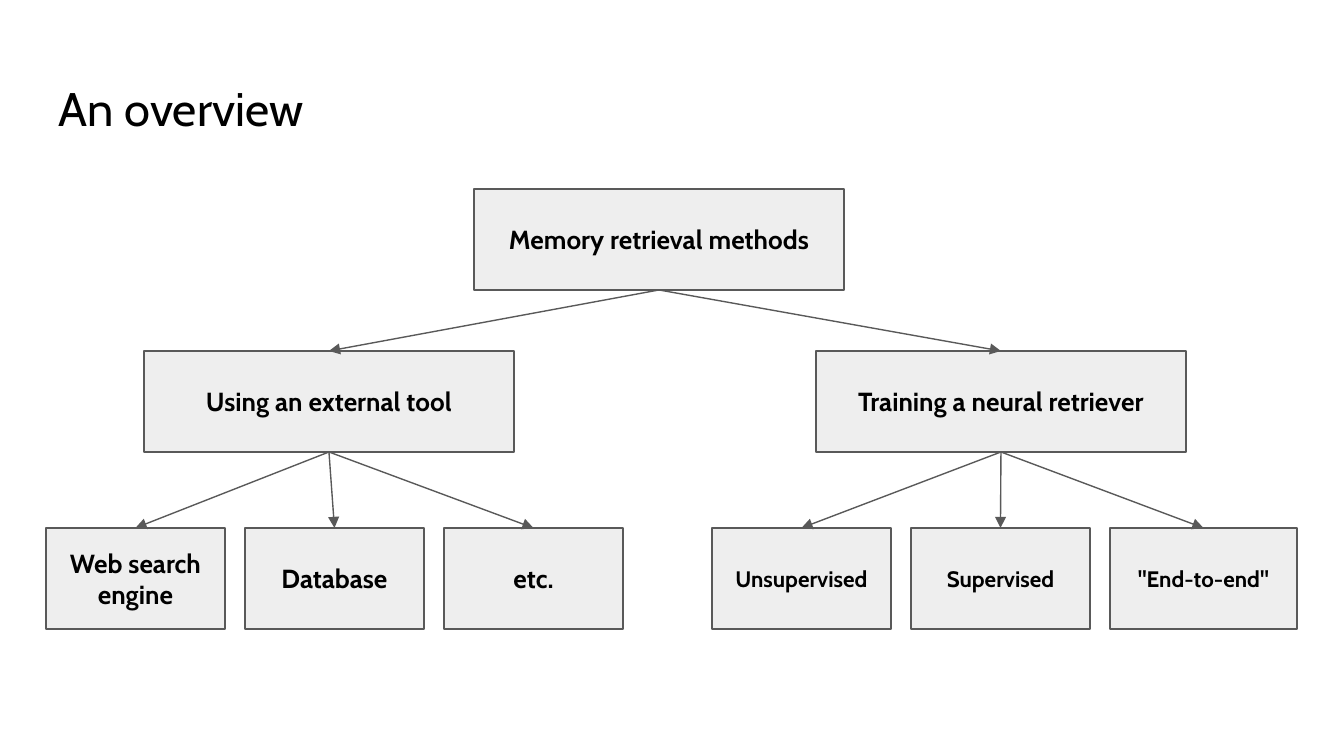
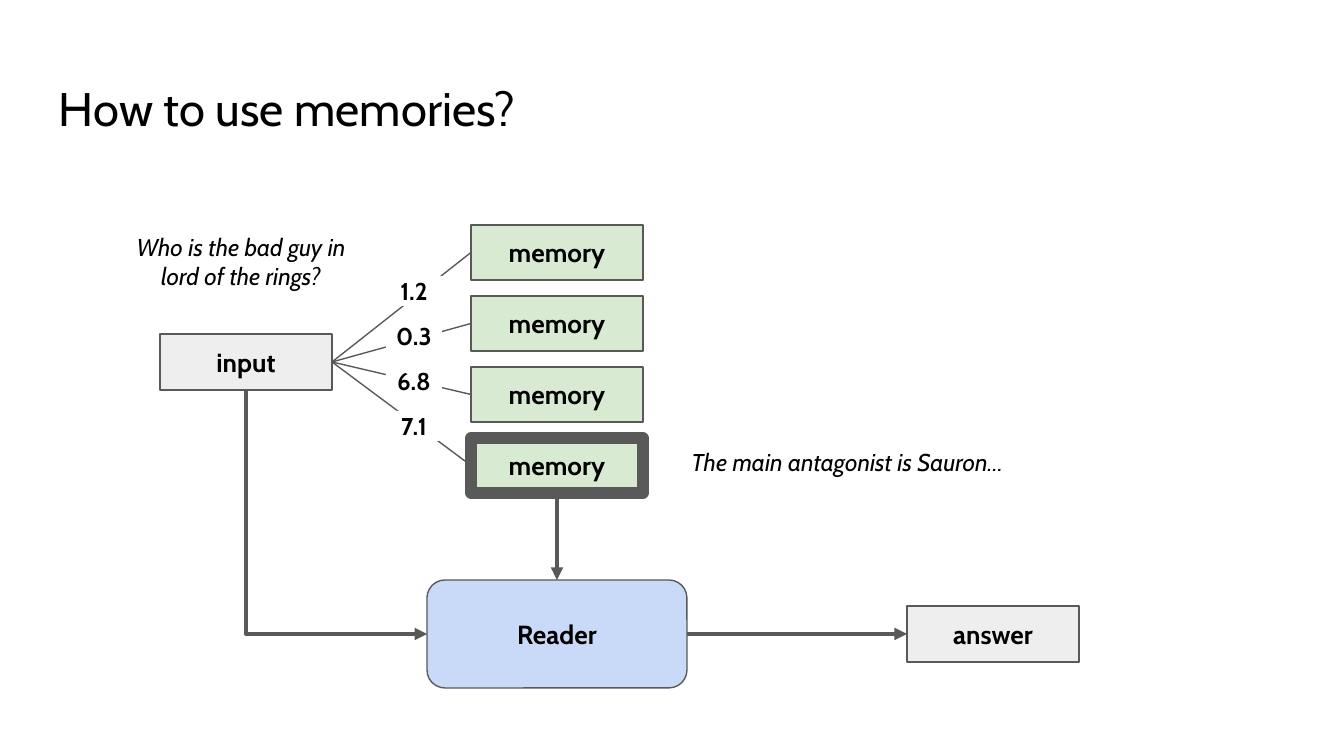
from lxml import etree
from pptx import Presentation
from pptx.dml.color import RGBColor
from pptx.enum.shapes import MSO_CONNECTOR as CONN, MSO_SHAPE as SHAPE
from pptx.enum.text import MSO_ANCHOR as ANCHOR, MSO_AUTO_SIZE as AUTO, PP_ALIGN as ALIGN
from pptx.oxml.ns import qn
from pptx.util import Emu, Pt

# Shared look
FONT = "Cabin"
BLACK, WHITE, GREY = "000000", "FFFFFF", "595959"
PALE, GREEN, BLUE = "EEEEEE", "D9EAD3", "C9DAF8"
THIN, THICK, FRAME = 0.75, 2.25, 6
INSET = 13
TOP, LEFT, BOTTOM, RIGHT = range(4)


def px(n):
    return Emu(round(n * 914400 / 134.4))


def rgb(value):
    return RGBColor.from_string(value)


def write(sp, text, size, bold=False, italic=False, align=ALIGN.CENTER,
          anchor=ANCHOR.MIDDLE, inset=INSET):
    tf = sp.text_frame
    tf.text = text
    tf.word_wrap = True
    tf.auto_size = AUTO.NONE
    tf.vertical_anchor = anchor
    tf.margin_left = tf.margin_right = tf.margin_top = tf.margin_bottom = px(inset)
    p = tf.paragraphs[0]
    p.alignment = align
    font = p.runs[0].font
    font.name, font.size = FONT, Pt(size)
    font.bold, font.italic = bold, italic
    font.color.rgb = rgb(BLACK)


def add_slide(prs, title):
    s = prs.slides.add_slide(prs.slide_layouts[5])
    sp = s.shapes.title
    sp.left, sp.top, sp.width, sp.height = px(46), px(66), px(1253), px(85)
    write(sp, title, 25.2, align=ALIGN.LEFT, anchor=ANCHOR.TOP)
    return s


def add_box(s, text, x, y, w, h, fill=PALE, line=THIN, size=14,
            kind=SHAPE.RECTANGLE, inset=INSET):
    sp = s.shapes.add_shape(kind, px(x), px(y), px(w), px(h))
    sp.shadow.inherit = False
    sp.fill.solid()
    sp.fill.fore_color.rgb = rgb(fill)
    if line:
        sp.line.color.rgb = rgb(GREY)
        sp.line.width = Pt(line)
    else:
        sp.line.fill.background()
    write(sp, text, size, bold=True, inset=inset)
    return sp


def add_note(s, text, x, y, w, h):
    sp = s.shapes.add_textbox(px(x), px(y), px(w), px(h))
    write(sp, text, 13, italic=True, anchor=ANCHOR.TOP)


def style_line(c, width, arrow):
    c.line.color.rgb = rgb(GREY)
    c.line.width = Pt(width)
    if arrow:
        etree.SubElement(c.line._get_or_add_ln(), qn("a:tailEnd"), type="triangle")
    etree.SubElement(c._element.spPr, qn("a:effectLst"))


def join(s, start, start_side, end, end_side, width=THIN, arrow=True):
    c = s.shapes.add_connector(CONN.STRAIGHT, 0, 0, 0, 0)
    c.begin_connect(start, start_side)
    c.end_connect(end, end_side)
    style_line(c, width, arrow)


def add_down_then_right(s, x1, y1, x2, y2, width):
    """One-bend arrow: a mirrored connector turned by 270 degrees about its centre."""
    cx, cy = (x1 + x2) / 2, (y1 + y2) / 2
    dx, dy = (x2 - x1) / 2, (y2 - y1) / 2
    c = s.shapes.add_connector(CONN.ELBOW, px(cx + dy), px(cy - dx),
                               px(cx - dy), px(cy + dx))
    c._element.spPr.find(qn("a:xfrm")).set("rot", str(270 * 60000))
    c._element.spPr.find(qn("a:prstGeom")).set("prst", "bentConnector2")
    style_line(c, width, True)


def add_branch(s, root, text, x, leaves, leaf_x, leaf_size, last_w):
    branch = add_box(s, text, x, 351, 370, 101)
    join(s, root, BOTTOM, branch, TOP)
    for i, label in enumerate(leaves):
        w = last_w if i == len(leaves) - 1 else 179
        leaf = add_box(s, label, leaf_x + 199 * i, 528, w, 101, size=leaf_size)
        join(s, branch, BOTTOM, leaf, TOP)


def overview(prs):
    s = add_slide(prs, "An overview")
    root = add_box(s, "Memory retrieval methods", 474, 189, 370, 101)
    add_branch(s, root, "Using an external tool", 144,
               ["Web search engine", "Database", "etc."], 46, 14, 179)
    add_branch(s, root, "Training a neural retriever", 816,
               ["Unsupervised", "Supervised", '"End-to-end"'], 712, 12, 187)


def using_memories(prs):
    s = add_slide(prs, "How to use memories?")
    query = add_box(s, "input", 160, 334, 172, 56)

    # Memories, with the chosen one framed
    scores = ["1.2", "0.3", "6.8", "7.1"]
    chosen = scores.index(max(scores, key=float))
    memories = [add_box(s, "memory", 471, 225 + 71 * i, 172, 55, GREEN,
                        FRAME if i == chosen else THIN)
                for i in range(len(scores))]

    # Scores sit on top of the lines
    for memory in memories:
        join(s, query, RIGHT, memory, LEFT, arrow=False)
    for i, score in enumerate(scores):
        add_box(s, score, 386, 276 + 45 * i, 56, 30, WHITE, None, 13, inset=0)

    # Reader and answer
    reader = add_box(s, "Reader", 427, 580, 260, 108, BLUE, kind=SHAPE.ROUNDED_RECTANGLE)
    answer = add_box(s, "answer", 907, 606, 172, 56)
    join(s, memories[chosen], BOTTOM, reader, TOP, THICK)
    add_down_then_right(s, 246, 390, 427, 634, THICK)
    join(s, reader, RIGHT, answer, LEFT, THICK)

    # Example texts
    add_note(s, "The main antagonist is Sauron…", 650, 434, 394, 56)
    add_note(s, "Who is the bad guy in lord of the rings?", 120, 219, 242, 86)


def main():
    prs = Presentation()
    prs.slide_width, prs.slide_height = px(1344), px(756)
    overview(prs)
    using_memories(prs)
    prs.save("out.pptx")


if __name__ == "__main__":
    main()
